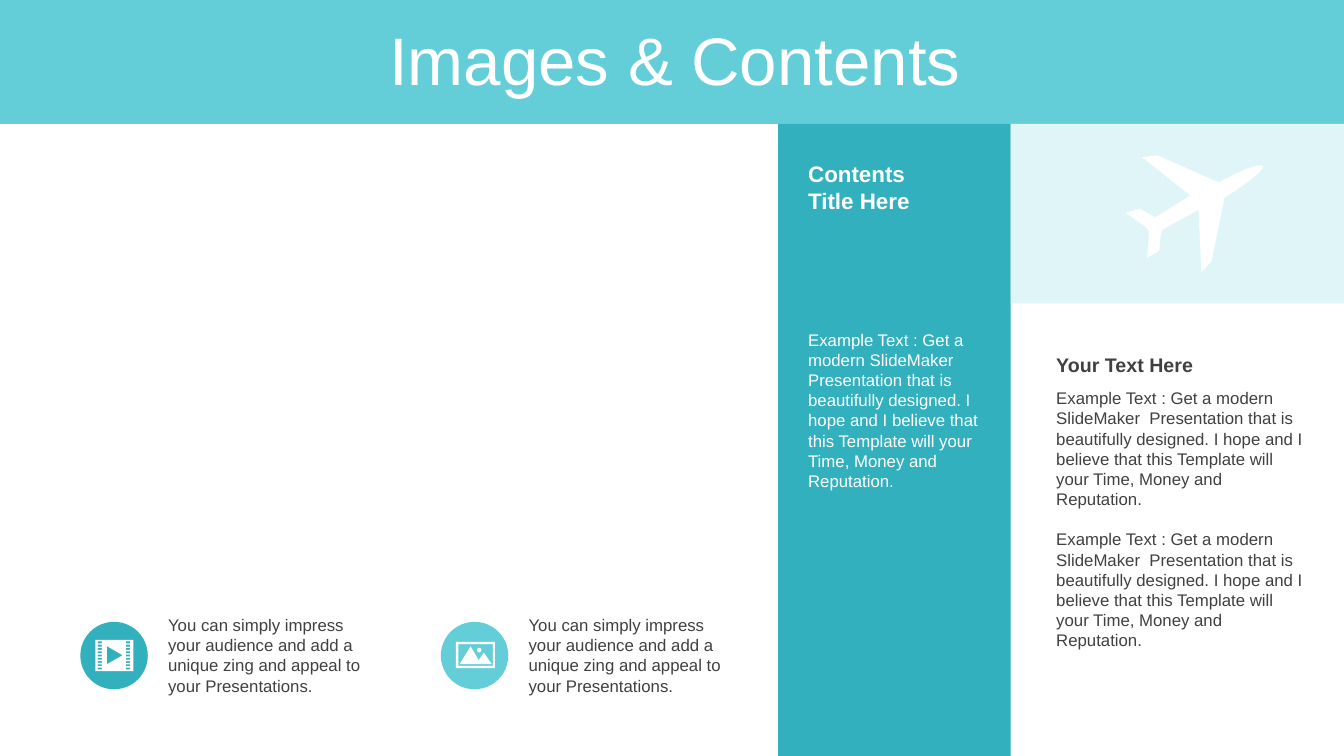
import math

import pptx
import pptx.util
import pptx.dml.color
import pptx.enum.shapes
import pptx.enum.text

Pt = pptx.util.Pt
SHAPE = pptx.enum.shapes.MSO_SHAPE
COLORS = {
    "aqua": "64CED8",
    "teal": "32B0BE",
    "mist": "E0F5F7",
    "white": "FFFFFF",
    "ink": "404040",
}
EXAMPLE = ("Example Text : Get a modern SlideMaker  Presentation that is "
           "beautifully designed. I hope and I believe that this Template "
           "will your Time, Money and Reputation.")
IMPRESS = ("You can simply impress your audience and add a unique zing "
           "and appeal to your Presentations.")


def paint(shape, color):
    shape.shadow.inherit = False
    shape.fill.solid()
    shape.fill.fore_color.rgb = pptx.dml.color.RGBColor.from_string(COLORS[color])
    shape.line.fill.background()


def write(frame, paragraphs, color, font_format, paragraph_format):
    """Fill a text frame with equally formatted paragraphs."""
    frame.word_wrap = True
    frame.text = "\n".join(paragraphs)
    for paragraph in frame.paragraphs:
        for name, value in paragraph_format.items():
            setattr(paragraph, name, value)
        font = paragraph.runs[0].font
        for name, value in font_format.items():
            setattr(font, name, value)
        font.color.rgb = pptx.dml.color.RGBColor.from_string(COLORS[color])


presentation = pptx.Presentation()
presentation.slide_width = Pt(960)
presentation.slide_height = Pt(540)
slide = presentation.slides.add_slide(presentation.slide_layouts[5])
shapes = slide.shapes

# Header, panels and icon discs
header_height = 88.56
for kind, left, top, width, height, color in [
    (SHAPE.RECTANGLE, 0, 0, 960, header_height, "aqua"),
    (SHAPE.RECTANGLE, 555.8, header_height, 166.2, 540 - header_height, "teal"),
    (SHAPE.RECTANGLE, 722, header_height, 238, 128.2, "mist"),
    (SHAPE.OVAL, 57.4, 444.2, 48.2, 48.2, "teal"),
    (SHAPE.OVAL, 314.9, 444.2, 48.2, 48.2, "aqua"),
]:
    paint(shapes.add_shape(kind, Pt(left), Pt(top), Pt(width), Pt(height)), color)

# Title, brought in front of the header
heading = shapes.title
heading.element.getparent().append(heading.element)
for name, value in {"left": 0, "top": 17.3, "width": 960, "height": 56.2}.items():
    setattr(heading, name, Pt(value))
for name, value in {"margin_left": Pt(11.5), "margin_right": Pt(7.2),
                    "margin_top": Pt(3.6), "margin_bottom": Pt(3.6),
                    "vertical_anchor": pptx.enum.text.MSO_ANCHOR.MIDDLE,
                    "auto_size": pptx.enum.text.MSO_AUTO_SIZE.NONE}.items():
    setattr(heading.text_frame, name, value)
write(heading.text_frame, ["Images & Contents"], "white",
      {"name": "Arial", "size": Pt(48)},
      {"alignment": pptx.enum.text.PP_ALIGN.CENTER, "line_spacing": 0.9})

# Text blocks
for left, top, width, height, paragraphs, size, bold, color, gap in [
    (747.4, 273.6, 191.5, 196.6, [EXAMPLE, EXAMPLE], 12, False, "ink", 14.4),
    (747.4, 248.4, 189.4, 24.5, ["Your Text Here"], 14, True, "ink", 0),
    (570.2, 231.8, 139, 123.8, [EXAMPLE], 12, False, "white", 0),
    (570.2, 110.9, 138.2, 46.1, ["Contents", "Title Here"], 16, True, "white", 0),
    (113, 435.6, 162, 65.5, [IMPRESS], 12, False, "ink", 0),
    (370.5, 435.6, 162, 65.5, [IMPRESS], 12, False, "ink", 0),
]:
    block = shapes.add_textbox(Pt(left), Pt(top), Pt(width), Pt(height))
    write(block.text_frame, paragraphs, color,
          {"name": "Arial", "size": Pt(size), "bold": bold},
          {"space_after": Pt(gap)})

# Film icon: frame, play triangle and two columns of nine sprocket holes
film = [
    [(68.2, 457), (95.2, 457), (95.2, 479.3), (68.2, 479.3)],
    [(76.3, 461.5), (76.3, 474.5), (87.6, 468)],
]
for x in (69.8, 90):
    for row in range(9):
        y = 458.2 + row * 2.33
        film.append([(x, y), (x, y + 1.3), (x + 2.9, y + 1.3), (x + 2.9, y)])

# Photo icon: frame, mountains and a round sun
photo = [
    [(325.6, 458.6), (353.6, 458.6), (353.6, 477.2), (325.6, 477.2)],
    [(327.4, 460.2), (327.4, 475.7), (352.1, 475.7), (352.1, 460.2)],
    [(336.2, 461.7), (342, 471.6), (345.6, 466.2), (351.4, 474.5), (328.3, 474.5)],
    [(342.3 + 1.6 * math.cos(math.tau * step / 24),
      464.4 + 1.6 * math.sin(math.tau * step / 24)) for step in range(24)],
]

plane = [[
    (819.4, 184.3), (820.8, 167), (820.2, 164), (817.2, 161.3),
    (804.2, 151.9), (814.3, 149), (825.1, 155.5), (850.3, 139.7),
    (815.8, 112.3), (826.6, 110.9), (870.5, 130.3), (879, 125.9),
    (888.8, 121.3), (897.3, 118.4), (901, 118), (902.2, 118.8),
    (901.8, 120.6), (899.5, 123.3), (892.3, 129.4), (883.2, 135.8),
    (874.8, 141.1), (865.4, 186.5), (858.2, 194.4), (856.1, 149.8),
    (830.2, 164.2), (829, 169), (828, 179.3),
]]

for outlines in (film, photo, plane):
    contours = [[(Pt(x), Pt(y)) for x, y in outline] for outline in outlines]
    builder = shapes.build_freeform(*contours[0][0])
    builder.add_line_segments(contours[0][1:])
    for contour in contours[1:]:
        builder.move_to(*contour[0])
        builder.add_line_segments(contour[1:])
    paint(builder.convert_to_shape(), "white")

presentation.save("out.pptx")
